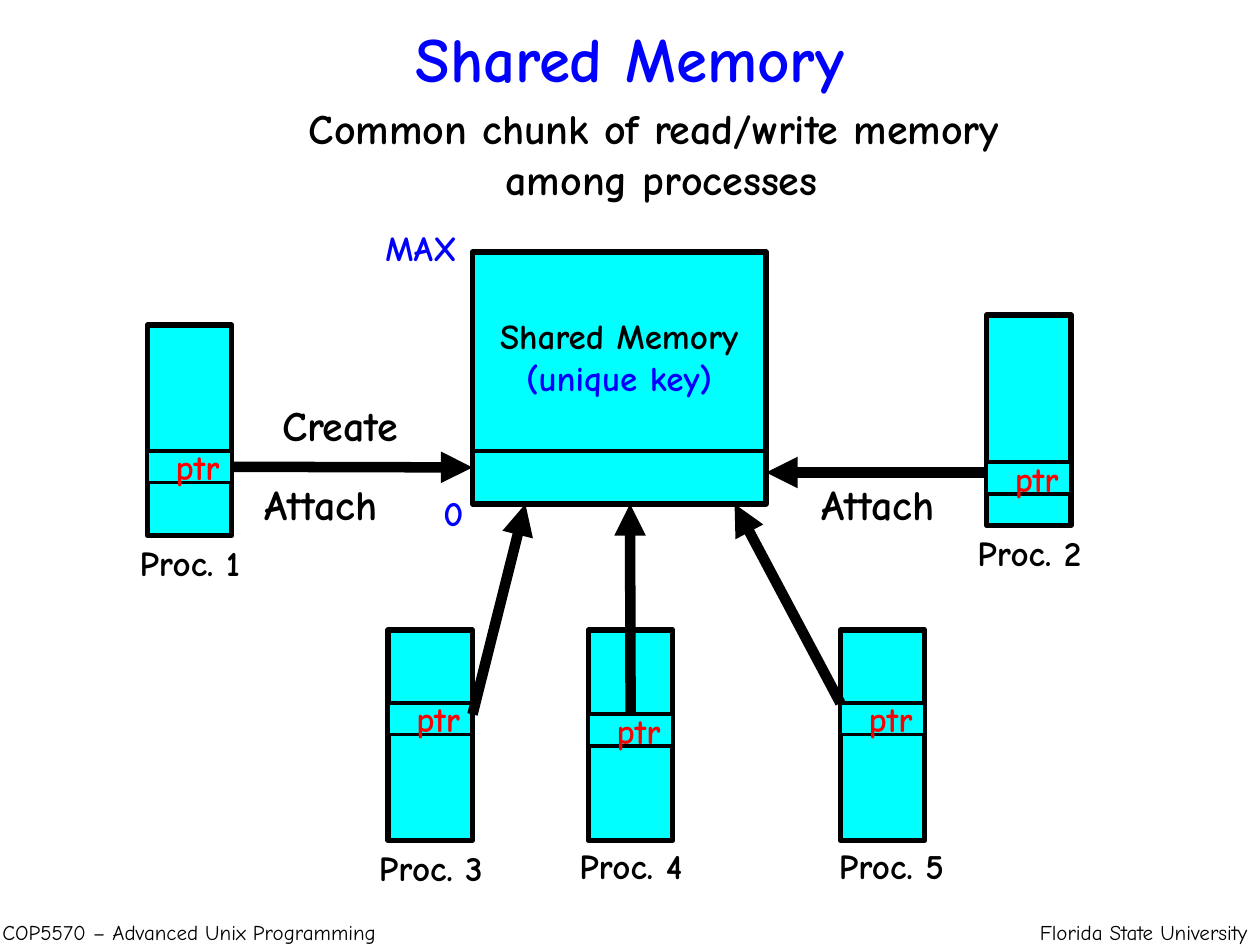
"""Build the Shared Memory slide: five processes attached to one memory segment."""
from pptx import Presentation
from pptx.dml.color import RGBColor
from pptx.enum.shapes import MSO_CONNECTOR, MSO_SHAPE
from pptx.enum.text import MSO_ANCHOR as ANCHOR, PP_ALIGN as ALIGN
from pptx.oxml.ns import qn
from pptx.util import Inches, Pt
from lxml.etree import SubElement

COLORS = {
    name: RGBColor.from_string(value)
    for name, value in {
        "ink": "000000", "memory": "00FFFF", "accent": "0000FF", "pointer": "FF0000"
    }.items()
}


def write(shape, text, size=20, color="ink", bold=True, align=ALIGN.LEFT, wrap=False):
    frame = shape.text_frame
    frame.word_wrap = wrap
    frame.text = text
    for paragraph in frame.paragraphs:
        paragraph.alignment = align
        for run in paragraph.runs:
            run.font.name = "Comic Neue"
            run.font.size = Pt(size)
            run.font.bold = bold
            run.font.color.rgb = COLORS[color]
    return frame


def style(shape, width):
    shape.line.color.rgb = COLORS["ink"]
    shape.line.width = Pt(width)
    if hasattr(shape, "fill"):
        shape.shadow.inherit = False
        shape.fill.solid()
        shape.fill.fore_color.rgb = COLORS["memory"]
    else:
        SubElement(shape._element.spPr, qn("a:effectLst"))
    return shape


prs = Presentation()
prs.slide_width, prs.slide_height = Inches(10), Inches(7.5)
slide = prs.slides.add_slide(prs.slide_layouts[5])
shapes = slide.shapes

title = shapes.title
title.left, title.top = Inches(0.75), Inches(-0.17)
title.width, title.height = Inches(8.5), Inches(1.25)
write(title, "Shared Memory", 36, "accent", align=ALIGN.CENTER, wrap=True)
title.text_frame.vertical_anchor = ANCHOR.MIDDLE

subtitle = shapes.add_textbox(Inches(0.5), Inches(0.84), Inches(9.5), Inches(0.83))
summary = write(subtitle, "Common chunk of read/write memory \namong processes", 24,
                align=ALIGN.CENTER, wrap=True)
for paragraph in summary.paragraphs:
    paragraph.line_spacing = 0.8
summary.paragraphs[1].space_before = Pt(6)

memory = style(shapes.add_shape(MSO_SHAPE.RECTANGLE, Inches(3.75), Inches(2),
                                Inches(2.33), Inches(2)), 3)
key = write(memory, "Shared Memory\n(unique key)", align=ALIGN.CENTER)
key.vertical_anchor = ANCHOR.MIDDLE
key.margin_bottom = Inches(0.39)
key.paragraphs[1].runs[0].font.color.rgb = COLORS["accent"]
style(shapes.add_connector(MSO_CONNECTOR.STRAIGHT, Inches(3.75), Inches(3.58),
                           Inches(6.08), Inches(3.58)), 2.25)

processes = [
    (1.17, 2.58, 3.58, 1.01, 4.25, (1.84, 3.71), (3.75, 3.71), 3),
    (7.83, 2.5, 3.67, 7.66, 4.17, (7.83, 3.75), (6.08, 3.75), None),
    (3.08, 5, 5.58, 2.91, 6.67, (3.75, 5.67), (4.17, 4), None),
    (4.67, 5, 5.67, 4.5, 6.65, (5, 5.67), (5, 4), 0),
    (6.67, 5, 5.58, 6.56, 6.65, (6.67, 5.58), (5.83, 4), None),
]
for number, (left, top, ptr_top, name_left, name_top, start, end, site) in enumerate(processes, 1):
    style(shapes.add_shape(MSO_SHAPE.RECTANGLE, Inches(left), Inches(top),
                           Inches(0.67), Inches(1.67)), 3)
    pointer = style(shapes.add_shape(MSO_SHAPE.RECTANGLE, Inches(left), Inches(ptr_top),
                                     Inches(0.67), Inches(0.25)), 2.25)
    write(pointer, "ptr", color="pointer", align=ALIGN.RIGHT).vertical_anchor = ANCHOR.MIDDLE
    name = shapes.add_textbox(Inches(name_left), Inches(name_top), Inches(1.1), Inches(0.44))
    write(name, f"Proc. {number}")
    arrow = shapes.add_connector(MSO_CONNECTOR.STRAIGHT, *map(Inches, start + end))
    if site is not None:
        arrow.begin_connect(pointer, site)
    style(arrow, 6)
    SubElement(arrow.line._get_or_add_ln(), qn("a:tailEnd"), type="triangle")

labels = [
    ("Create", 2.14, 3.12, 1.2, 0.5, 24, "ink", True, ALIGN.LEFT),
    ("Attach", 2, 3.75, 1.33, 0.5, 24, "ink", True, ALIGN.LEFT),
    ("Attach", 6.42, 3.75, 1.33, 0.5, 24, "ink", True, ALIGN.LEFT),
    ("MAX", 2.96, 1.75, 0.85, 0.44, 20, "accent", True, ALIGN.LEFT),
    ("0", 3.42, 3.85, 0.4, 0.44, 20, "accent", True, ALIGN.LEFT),
    ("COP5570 – Advanced Unix Programming", -0.08, 7.25, 3.33, 0.33, 12, "ink", False, ALIGN.LEFT),
    ("Florida State University", 7.67, 7.25, 2.33, 0.33, 12, "ink", False, ALIGN.RIGHT),
]
for text, left, top, width, height, size, color, bold, align in labels:
    label = shapes.add_textbox(Inches(left), Inches(top), Inches(width), Inches(height))
    write(label, text, size, color, bold, align)

prs.save("out.pptx")
